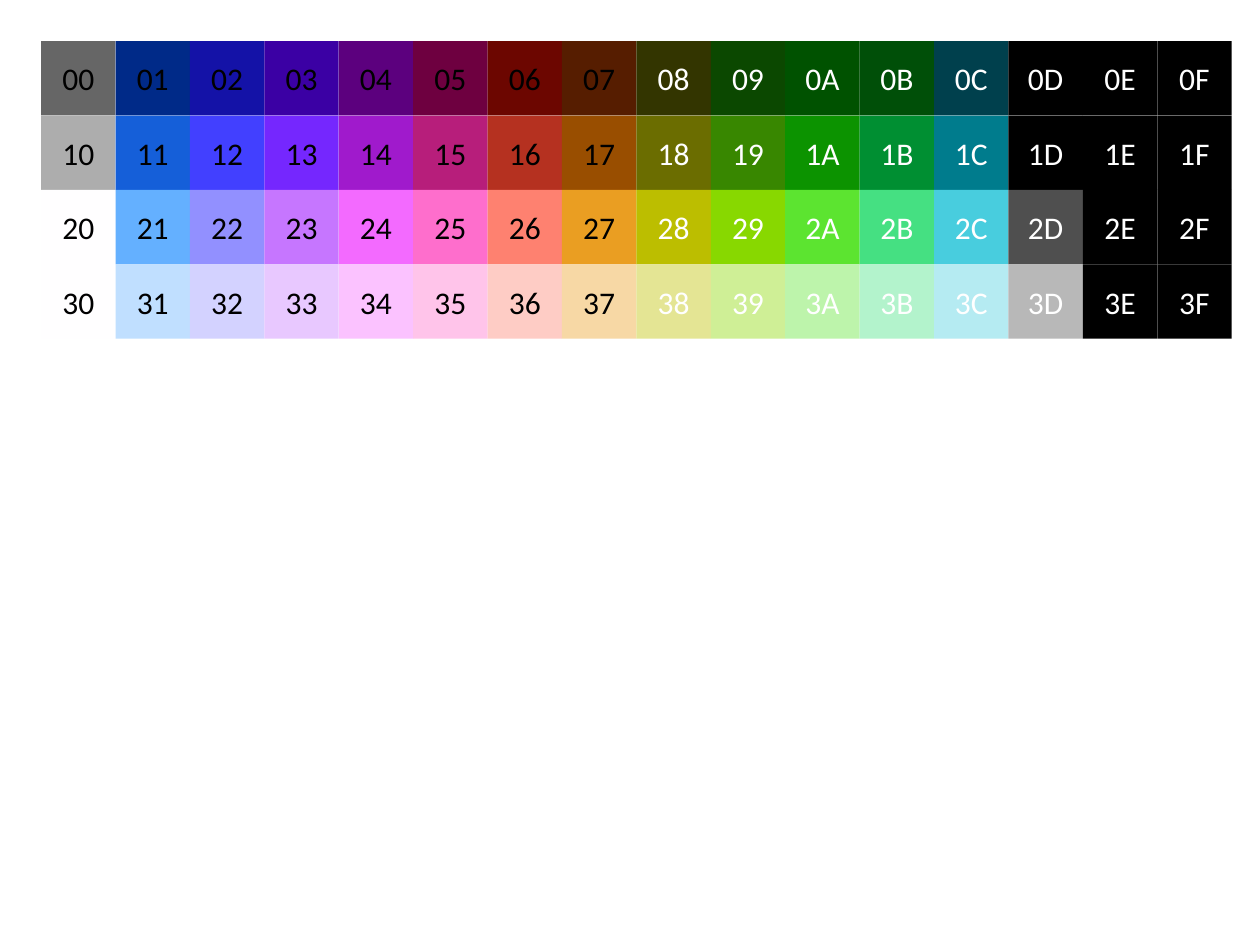
from dataclasses import dataclass

from pptx import Presentation
from pptx.dml.color import RGBColor
from pptx.enum.shapes import MSO_SHAPE
from pptx.enum.text import MSO_ANCHOR, PP_ALIGN
from pptx.slide import Slide
from pptx.util import Cm, Pt

MARGIN = 0.83
SIDE = 1.5
FIRST_LIGHT_TEXT_COLUMN = 8

TEXT_COLORS = {"dark": "000000", "light": "FFFFFF"}

# The first digit of each palette index is its row, the second its column.
PALETTE = {
    "00": "666666", "01": "002A88", "02": "1412A7", "03": "3B00A4",
    "04": "5C007E", "05": "6E0040", "06": "6C0600", "07": "561D00",
    "08": "333500", "09": "0B4800", "0A": "005200", "0B": "004F08",
    "0C": "00404D", "0D": "000000", "0E": "000000", "0F": "000000",
    "10": "ADADAD", "11": "155FD9", "12": "4240FF", "13": "7527FE",
    "14": "A01ACC", "15": "B71E7B", "16": "B53120", "17": "994E00",
    "18": "6B6D00", "19": "388700", "1A": "0C9300", "1B": "008F32",
    "1C": "007C8D", "1D": "000000", "1E": "000000", "1F": "000000",
    "20": "FFFEFF", "21": "64B0FF", "22": "9290FF", "23": "C676FF",
    "24": "F36AFF", "25": "FE6ECC", "26": "FE8170", "27": "EA9E22",
    "28": "BCBE00", "29": "88D800", "2A": "5CE430", "2B": "45E082",
    "2C": "48CDDE", "2D": "4F4F4F", "2E": "000000", "2F": "000000",
    "30": "FFFEFF", "31": "C0DFFF", "32": "D3D2FF", "33": "E8C8FF",
    "34": "FBC2FF", "35": "FFC4EA", "36": "FECCC5", "37": "F7D8A5",
    "38": "E4E594", "39": "CFEF96", "3A": "BDF4AB", "3B": "B3F3CC",
    "3C": "B5EBF2", "3D": "B8B8B8", "3E": "000000", "3F": "000000",
}


@dataclass(frozen=True)
class Swatch:
    """One palette entry, placed by the digits of its index."""

    index: str
    fill: str

    @property
    def row(self) -> int:
        """Return the row given by the first digit."""
        return int(self.index[0], 16)

    @property
    def column(self) -> int:
        """Return the column given by the second digit."""
        return int(self.index[1], 16)

    @property
    def text_color(self) -> str:
        """Return the text colour for this half of the grid."""
        light = self.column >= FIRST_LIGHT_TEXT_COLUMN
        return TEXT_COLORS["light" if light else "dark"]


def draw_swatch(page: Slide, swatch: Swatch) -> None:
    """Draw a filled square with the palette index in its middle."""
    box = page.shapes.add_shape(
        MSO_SHAPE.RECTANGLE,
        Cm(MARGIN + swatch.column * SIDE),
        Cm(MARGIN + swatch.row * SIDE),
        Cm(SIDE),
        Cm(SIDE),
    )
    box.shadow.inherit = False
    box.fill.solid()
    box.fill.fore_color.rgb = RGBColor.from_string(swatch.fill)
    box.line.fill.background()

    box.text_frame.vertical_anchor = MSO_ANCHOR.MIDDLE
    para = box.text_frame.paragraphs[0]
    para.text = swatch.index
    para.alignment = PP_ALIGN.CENTER
    para.font.name = "Calibri"
    para.font.size = Pt(18)
    para.font.color.rgb = RGBColor.from_string(swatch.text_color)


def main() -> None:
    """Build the palette slide and save the deck."""
    deck = Presentation()
    deck.slide_width, deck.slide_height = Cm(25.4), Cm(19.05)
    page = deck.slides.add_slide(deck.slide_layouts[6])
    for index, fill in PALETTE.items():
        draw_swatch(page, Swatch(index, fill))
    deck.save("out.pptx")


main()
